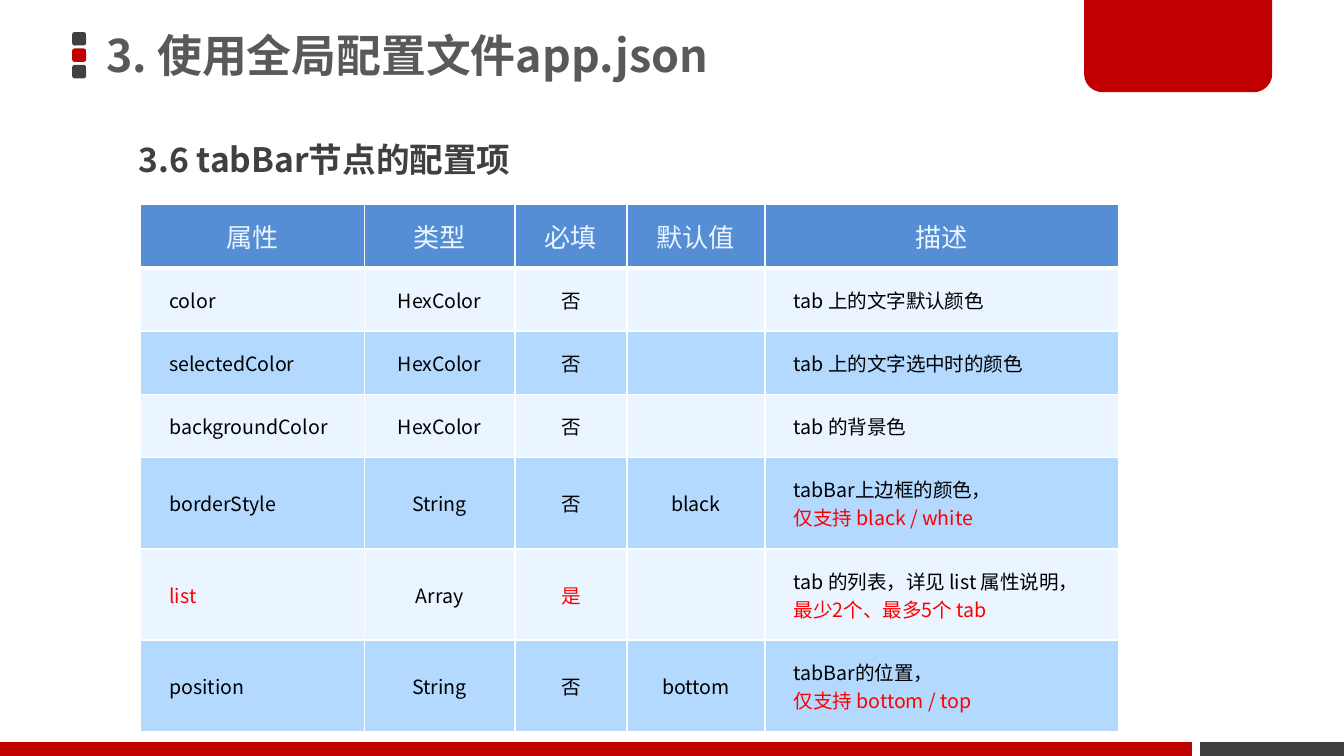
"""Build a slide listing the tabBar options of app.json."""
from dataclasses import dataclass
from typing import NamedTuple

from lxml import etree
from pptx import Presentation
from pptx.dml.color import RGBColor
from pptx.enum import shapes, text
from pptx.oxml import ns
from pptx.util import Pt


@dataclass(frozen=True)
class Theme:
    font: str = "Noto Sans CJK SC"
    red: str = "C00000"
    dark: str = "404040"
    title: str = "595959"
    header: str = "558ED5"
    light: str = "EBF5FF"
    blue: str = "B3D9FF"
    black: str = "000000"
    alert: str = "FF0000"
    white: str = "FFFFFF"
    title_size: float = 24
    subtitle_size: float = 18
    header_size: float = 14
    cell_size: float = 10.5


class Area(NamedTuple):
    left: float
    top: float
    width: float
    height: float


class Block(NamedTuple):
    area: Area
    color: str
    kind: shapes.MSO_SHAPE = shapes.MSO_SHAPE.RECTANGLE
    corners: tuple = ()


class Option(NamedTuple):
    name: str
    kind: str
    required: str
    default: str
    description: str


THEME = Theme()
ROUND = shapes.MSO_SHAPE.ROUNDED_RECTANGLE
BLOCKS = [
    *(Block(Area(38.7, 17.2 + 8.8 * i, 7.4, 7.2), color, ROUND, (0.17,))
      for i, color in enumerate((THEME.dark, THEME.red, THEME.dark))),
    Block(Area(643, 397.6, 77, 7.4), THEME.dark),
    Block(Area(580.8, 0, 100.8, 49.4), THEME.red,
          shapes.MSO_SHAPE.ROUND_2_SAME_RECTANGLE, (0, 0.2)),
    Block(Area(0, 397.6, 638.6, 7.4), THEME.red),
]
HEADER = Option("属性", "类型", "必填", "默认值", "描述")
OPTIONS = [
    Option("color", "HexColor", "否", "", "tab 上的文字默认颜色"),
    Option("selectedColor", "HexColor", "否", "", "tab 上的文字选中时的颜色"),
    Option("backgroundColor", "HexColor", "否", "", "tab 的背景色"),
    Option("borderStyle", "String", "否", "black",
           "tabBar上边框的颜色，\n仅支持 black / white"),
    Option("list", "Array", "是", "",
           "tab 的列表，详见 list 属性说明，\n最少2个、最多5个 tab"),
    Option("position", "String", "否", "bottom",
           "tabBar的位置，\n仅支持 bottom / top"),
]
COLUMNS = (120, 80.6, 60, 74, 189.4)
HEADER_HEIGHT, ROW_HEIGHT, TALL_HEIGHT = 34, 33.9, 48.9


def place(shape, area: Area) -> None:
    shape.left, shape.top, shape.width, shape.height = map(Pt, area)


def style(para, size: float, color: str, bold: bool = False) -> None:
    for span in para.runs:
        span.font.size, span.font.bold = Pt(size), bold
        span.font.name = THEME.font
        span.font.color.rgb = RGBColor.from_string(color)
        latin = span.font._element.find(ns.qn("a:latin"))
        east = etree.Element(ns.qn("a:ea"), typeface=THEME.font)
        latin.addnext(east)


def draw_block(page, block: Block) -> None:
    shape = page.shapes.add_shape(block.kind, *map(Pt, block.area))
    shape.shadow.inherit = False
    shape.fill.solid()
    shape.fill.fore_color.rgb = RGBColor.from_string(block.color)
    shape.line.fill.background()
    for i, corner in enumerate(block.corners):
        shape.adjustments[i] = corner


def write_heading(box, area: Area, words: str, size: float, color: str,
                  anchor: text.MSO_ANCHOR, before: float = 0) -> None:
    place(box, area)
    frame = box.text_frame
    frame.text = words
    frame.auto_size = text.MSO_AUTO_SIZE.NONE
    frame.vertical_anchor = anchor
    para = frame.paragraphs[0]
    para.alignment = text.PP_ALIGN.LEFT
    para.line_spacing, para.space_before = 0.9, Pt(before)
    properties = para._p.get_or_add_pPr()
    properties.set("marL", "0")
    properties.set("indent", "0")
    etree.SubElement(properties, ns.qn("a:buNone"))
    style(para, size, color, bold=True)


def set_borders(cell, top: float, bottom: float) -> None:
    properties = cell._tc.get_or_add_tcPr()
    for side, width in (("L", 1), ("R", 1), ("T", top), ("B", bottom)):
        line = etree.SubElement(properties, ns.qn(f"a:ln{side}"), w=str(Pt(width)))
        fill = etree.SubElement(line, ns.qn("a:solidFill"))
        etree.SubElement(fill, ns.qn("a:srgbClr"), val=THEME.white)


def write_cell(cell, words: str, row: int, column: int, required: bool) -> None:
    is_header = row == 0
    set_borders(cell, 3 if row == 1 else 1, 3 if is_header else 1)
    color = THEME.header if is_header else (THEME.blue, THEME.light)[row % 2]
    cell.fill.solid()
    cell.fill.fore_color.rgb = RGBColor.from_string(color)
    if not words:
        return
    cell.text_frame.text = words
    cell.vertical_anchor = text.MSO_ANCHOR.MIDDLE
    cell.margin_left = cell.margin_right = Pt(15.6)
    cell.margin_top = cell.margin_bottom = Pt(4.5 if is_header else 9.3)
    centred = is_header or column in (1, 2, 3)
    for i, para in enumerate(cell.text_frame.paragraphs):
        para.alignment = text.PP_ALIGN.CENTER if centred else text.PP_ALIGN.LEFT
        if is_header:
            style(para, THEME.header_size, THEME.light)
        else:
            alert = i > 0 or (required and column in (0, 2))
            style(para, THEME.cell_size, THEME.alert if alert else THEME.black)


def draw_table(page, records: list[Option]) -> None:
    heights = [HEADER_HEIGHT] + [
        TALL_HEIGHT if "\n" in record.description else ROW_HEIGHT
        for record in records[1:]]
    area = Area(75.2, 109.6, sum(COLUMNS), sum(heights))
    table = page.shapes.add_table(len(records), len(COLUMNS), *map(Pt, area)).table
    for column, width in zip(table.columns, COLUMNS):
        column.width = Pt(width)
    for r, (record, height) in enumerate(zip(records, heights)):
        table.rows[r].height = Pt(height)
        for c, words in enumerate(record):
            write_cell(table.cell(r, c), words, r, c, record.required == "是")


def main() -> None:
    deck = Presentation()
    deck.slide_width, deck.slide_height = Pt(720), Pt(405)
    page = deck.slides.add_slide(deck.slide_layouts[1])
    for block in BLOCKS:
        draw_block(page, block)
    write_heading(page.shapes.title, Area(49.7, 0, 530.6, 62.6),
                  "3. 使用全局配置文件app.json", THEME.title_size, THEME.title,
                  text.MSO_ANCHOR.MIDDLE)
    write_heading(page.placeholders[1], Area(67, 73.4, 511, 42.5),
                  "3.6 tabBar节点的配置项", THEME.subtitle_size, THEME.dark,
                  text.MSO_ANCHOR.TOP, before=7.5)
    draw_table(page, [HEADER, *OPTIONS])
    deck.save("out.pptx")


if __name__ == "__main__":
    main()
